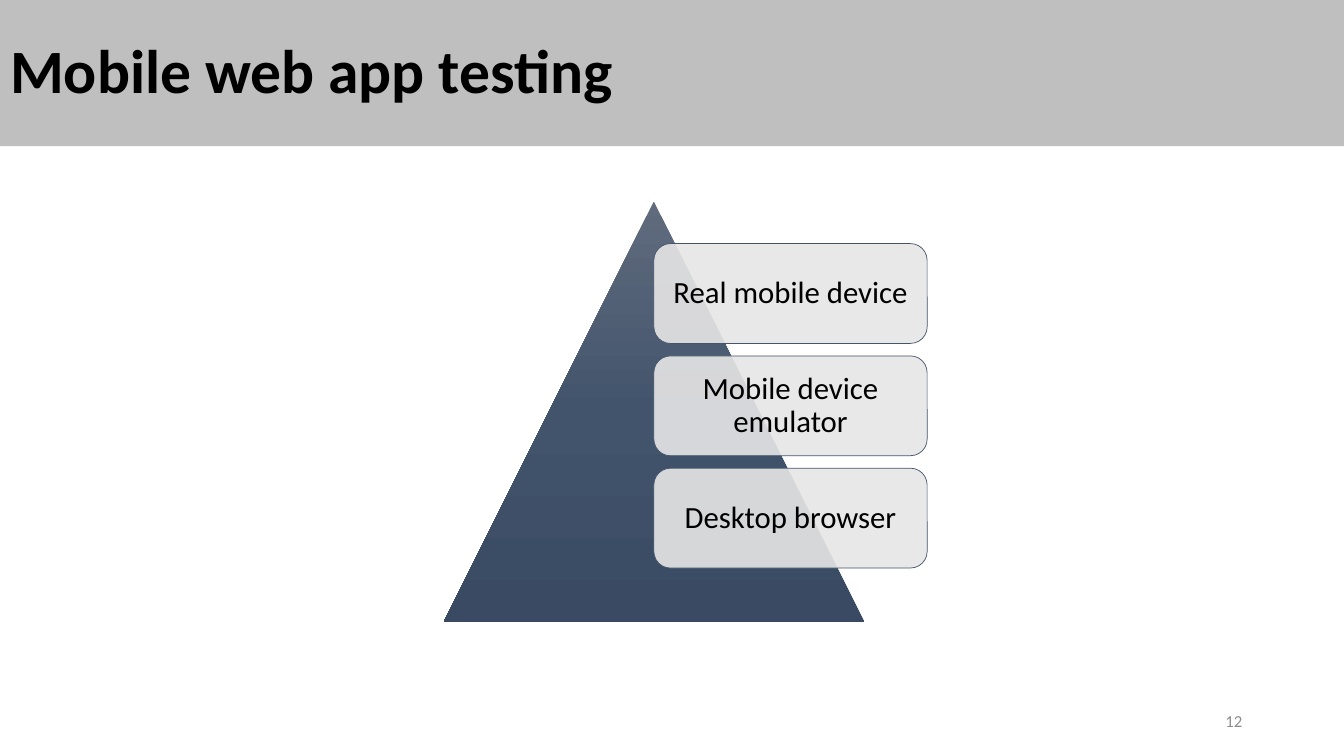
from copy import deepcopy
from dataclasses import dataclass

from lxml import etree
from pptx import Presentation
from pptx.dml.color import RGBColor
from pptx.enum.shapes import MSO_SHAPE
from pptx.enum.text import MSO_ANCHOR, MSO_AUTO_SIZE, PP_ALIGN
from pptx.oxml.ns import qn
from pptx.util import Inches, Pt

TRIANGLE, ROUNDED = MSO_SHAPE.ISOSCELES_TRIANGLE, MSO_SHAPE.ROUNDED_RECTANGLE
LEFT, CENTER, RIGHT = PP_ALIGN.LEFT, PP_ALIGN.CENTER, PP_ALIGN.RIGHT
MIDDLE = MSO_ANCHOR.MIDDLE
NO_FIT = MSO_AUTO_SIZE.NONE


@dataclass(frozen=True)
class Theme:
    font: str = "Calibri"
    text: str = "000000"
    muted: str = "8C8C8C"
    banner: str = "BFBFBF"
    card: str = "E7E6E6"
    card_line: str = "44546A"
    pyramid: tuple = ((0, "606B7D"), (0.5, "42546C"), (1, "394A62"))
    title_size: int = 44
    card_size: int = 22
    number_size: int = 12


THEME = Theme()
LEVELS = ["Real mobile device", "Mobile device emulator", "Desktop browser"]


def rgb(value):
    return RGBColor.from_string(value)


def set_attrs(obj, values):
    for name, value in values.items():
        setattr(obj, name, value)


def write(sp, text, size, color, align, bold=False, spacing=None, inset=(0.1, 0.05)):
    """Fill a shape with one vertically centred paragraph."""
    side, edge = (Inches(v) for v in inset)
    tf = sp.text_frame
    set_attrs(tf, {"word_wrap": True, "auto_size": NO_FIT, "vertical_anchor": MIDDLE,
                   "margin_left": side, "margin_right": side,
                   "margin_top": edge, "margin_bottom": edge})
    p = tf.paragraphs[0]
    set_attrs(p, {"alignment": align, "line_spacing": spacing})
    r = p.add_run()
    r.text = text
    set_attrs(r.font, {"name": THEME.font, "size": Pt(size), "bold": bold})
    r.font.color.rgb = rgb(color)


def add_title(slide, text, x, y, w, h):
    sp = slide.shapes.title
    set_attrs(sp, {"left": Inches(x), "top": Inches(y),
                   "width": Inches(w), "height": Inches(h)})
    sp.fill.solid()
    sp.fill.fore_color.rgb = rgb(THEME.banner)
    write(sp, text, THEME.title_size, THEME.text, LEFT, bold=True, spacing=0.9)


def add_triangle(slide, x, y, size):
    sp = slide.shapes.add_shape(TRIANGLE, *map(Inches, (x, y, size, size)))
    sp.shadow.inherit = False
    sp.line.fill.background()
    sp.fill.gradient()
    sp.fill.gradient_angle = 270
    # The default gradient has two stops; a third is needed
    stop_list = sp._element.spPr.find(".//" + qn("a:gsLst"))
    stop_list.append(deepcopy(stop_list[0]))
    for stop, (position, color) in zip(sp.fill.gradient_stops, THEME.pyramid):
        stop.position = position
        stop.color.rgb = rgb(color)


def add_card(slide, text, x, y, w, h):
    sp = slide.shapes.add_shape(ROUNDED, *map(Inches, (x, y, w, h)))
    sp.shadow.inherit = False
    sp.fill.solid()
    sp.fill.fore_color.rgb = rgb(THEME.card)
    color = sp._element.spPr.find(qn("a:solidFill"))[0]
    etree.SubElement(color, qn("a:alpha")).set("val", "90000")
    sp.line.color.rgb = rgb(THEME.card_line)
    sp.line.width = Pt(0.5)
    write(sp, text, THEME.card_size, THEME.text, CENTER, spacing=0.9, inset=(0.14, 0.14))


def add_pyramid(slide, levels, x, y, size):
    """Triangle with a column of cards that starts at its centre line."""
    add_triangle(slide, x, y, size)
    card_w, card_h = size * 0.65, size * 0.7125 / len(levels)
    pitch = card_h * 9 / 8
    for i, text in enumerate(levels):
        add_card(slide, text, x + size / 2, y + size / 10 + i * pitch, card_w, card_h)


def add_page_number(slide, number, x, y, w, h):
    sp = slide.shapes.add_textbox(*map(Inches, (x, y, w, h)))
    write(sp, str(number), THEME.number_size, THEME.muted, RIGHT)


def main():
    prs = Presentation()
    prs.slide_width, prs.slide_height = Inches(13.33), Inches(7.5)
    slide = prs.slides.add_slide(prs.slide_layouts[5])
    add_title(slide, "Mobile web app testing", 0, 0, 13.33, 1.45)
    add_page_number(slide, 12, 9.42, 6.95, 3, 0.4)
    add_pyramid(slide, LEVELS, 4.4, 2, 4.17)
    prs.save("out.pptx")


if __name__ == "__main__":
    main()
